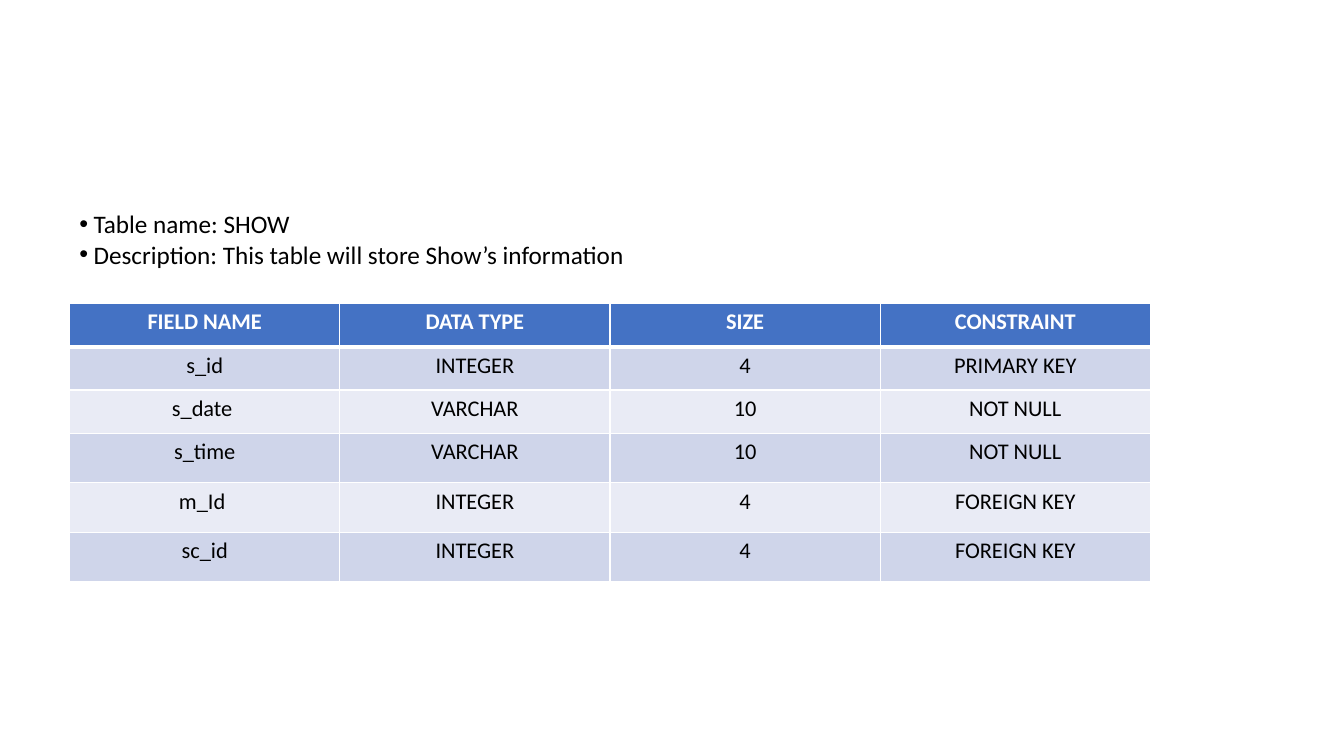
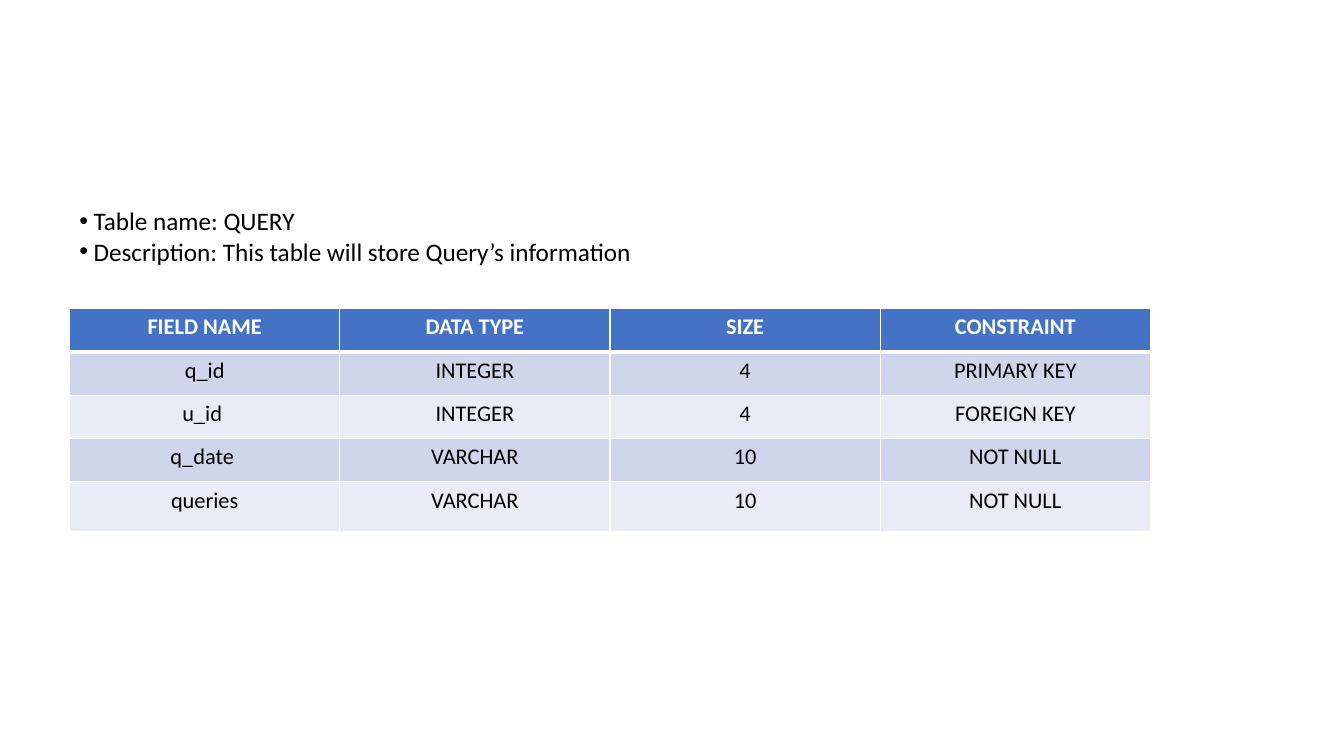
from pptx import Presentation
from pptx.dml.color import RGBColor
from pptx.enum.text import MSO_AUTO_SIZE as Fit, PP_ALIGN as Align
from pptx.oxml.ns import qn
from pptx.util import Inches, Pt
from lxml.etree import SubElement as Sub

FONT = "Calibri"
BLACK, WHITE, BLUE = "000000", "FFFFFF", "4472C4"
BANDS = ("CFD5EA", "E9EBF5")
LEFT, COL_W = 0.69, 2.68
ROW_H, TALL_H = 0.43, 0.49
HEAD = ("FIELD NAME", "DATA TYPE", "SIZE", "CONSTRAINT")

# tall: number of taller rows at the foot of the table
TABLES = [
    {
        "name": "SHOW", "about": "Show’s", "note_y": 2.02, "grid_y": 3.01, "tall": 3,
        "rows": [
            ("s_id", "INTEGER", "4", "PRIMARY KEY"),
            ("s_date ", "VARCHAR", "10", "NOT NULL"),
            ("s_time", "VARCHAR", "10", "NOT NULL"),
            ("m_Id ", "INTEGER", "4", "FOREIGN KEY"),
            ("sc_id", "INTEGER", "4", "FOREIGN KEY"),
        ],
    },
    {
        "name": "QUERY", "about": "Query’s", "note_y": 1.99, "grid_y": 3.06, "tall": 1,
        "rows": [
            ("q_id", "INTEGER", "4", "PRIMARY KEY"),
            ("u_id ", "INTEGER", "4", "FOREIGN KEY"),
            ("q_date ", "VARCHAR", "10", "NOT NULL"),
            ("queries", "VARCHAR", "10", "NOT NULL"),
        ],
    },
]


def rgb(color):
    return RGBColor.from_string(color)


def add_run(para, text, size, color, bold=False):
    run = para.add_run()
    run.text = text
    font = run.font
    font.name, font.size, font.bold = FONT, Pt(size), bold
    font.color.rgb = rgb(color)


def add_bullet(para):
    props = para._p.get_or_add_pPr()
    indent = Inches(0.14)
    props.set("marL", str(indent))
    props.set("indent", str(-indent))
    Sub(props, qn("a:buFont"), typeface="Arial")
    Sub(props, qn("a:buChar"), char="•")


def add_edges(cell, top, bottom):
    """Draw white cell borders; top and bottom are widths in points."""
    props = cell._tc.get_or_add_tcPr()
    for side, width in (("L", 1), ("R", 1), ("T", top), ("B", bottom)):
        line = Sub(props, qn("a:ln" + side), w=str(Pt(width)))
        fill = Sub(line, qn("a:solidFill"))
        Sub(fill, qn("a:srgbClr"), val=WHITE)


def add_note(slide, data):
    box = slide.shapes.add_textbox(
        Inches(LEFT), Inches(data["note_y"]), Inches(5.97), Inches(0.71))
    frame = box.text_frame
    frame.word_wrap = True
    frame.auto_size = Fit.SHAPE_TO_FIT_TEXT
    lines = (f"Table name: {data['name']}",
             f"Description: This table will store {data['about']} information")
    for i, text in enumerate(lines):
        para = frame.add_paragraph() if i else frame.paragraphs[0]
        add_bullet(para)
        add_run(para, text, 18, BLACK)


def add_grid(slide, data):
    rows = [HEAD] + data["rows"]
    short = len(rows) - data["tall"]
    heights = [ROW_H] * short + [TALL_H] * data["tall"]
    table = slide.shapes.add_table(
        len(rows), len(HEAD), Inches(LEFT), Inches(data["grid_y"]),
        Inches(COL_W * len(HEAD)), Inches(sum(heights))).table
    for col in table.columns:
        col.width = Inches(COL_W)
    for r, (row, height) in enumerate(zip(rows, heights)):
        table.rows[r].height = Inches(height)
        head = r == 0
        for c, text in enumerate(row):
            cell = table.cell(r, c)
            add_edges(cell, 3 if r == 1 else 1, 3 if head else 1)
            cell.fill.solid()
            cell.fill.fore_color.rgb = rgb(BLUE if head else BANDS[(r - 1) % 2])
            para = cell.text_frame.paragraphs[0]
            para.alignment = Align.CENTER
            add_run(para, text, 16, WHITE if head else BLACK, head)


def main():
    prs = Presentation()
    prs.slide_width, prs.slide_height = Inches(13.33), Inches(7.5)
    blank = prs.slide_layouts[6]
    for data in TABLES:
        slide = prs.slides.add_slide(blank)
        add_grid(slide, data)
        add_note(slide, data)
    prs.save("out.pptx")


if __name__ == "__main__":
    main()
